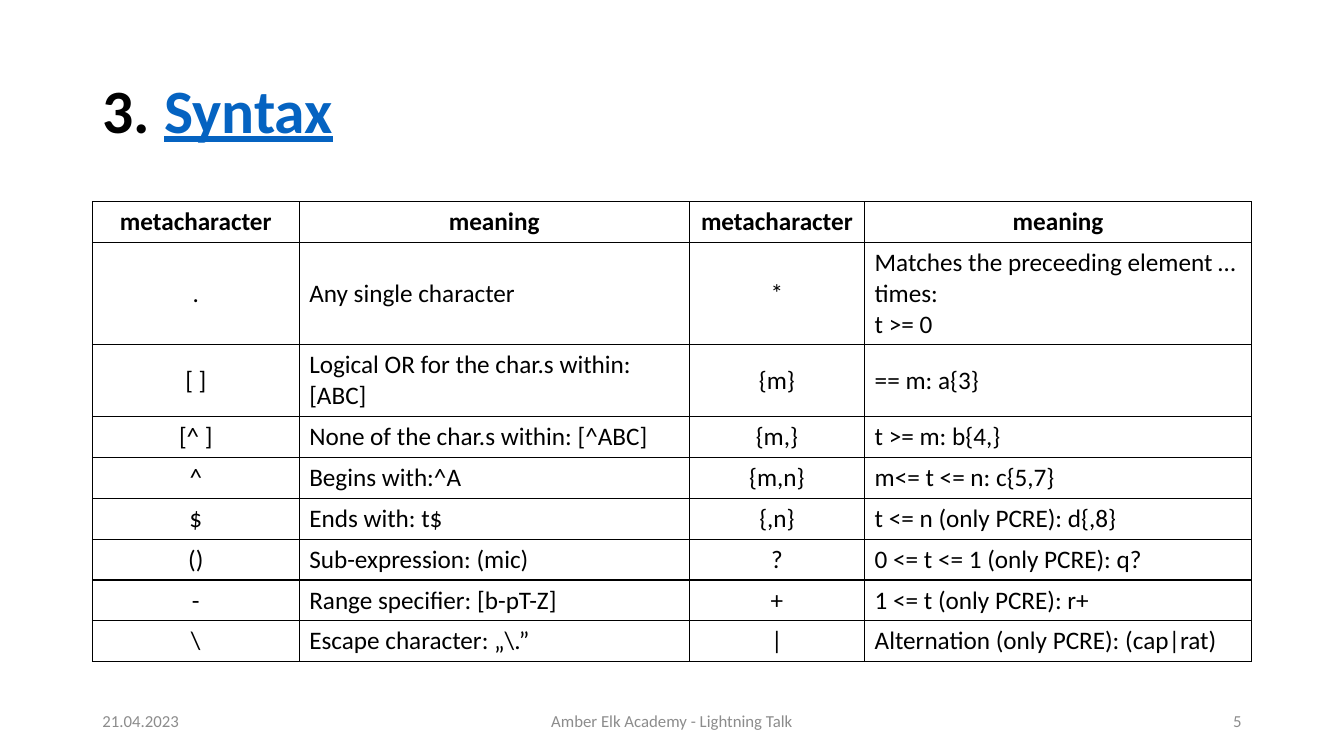
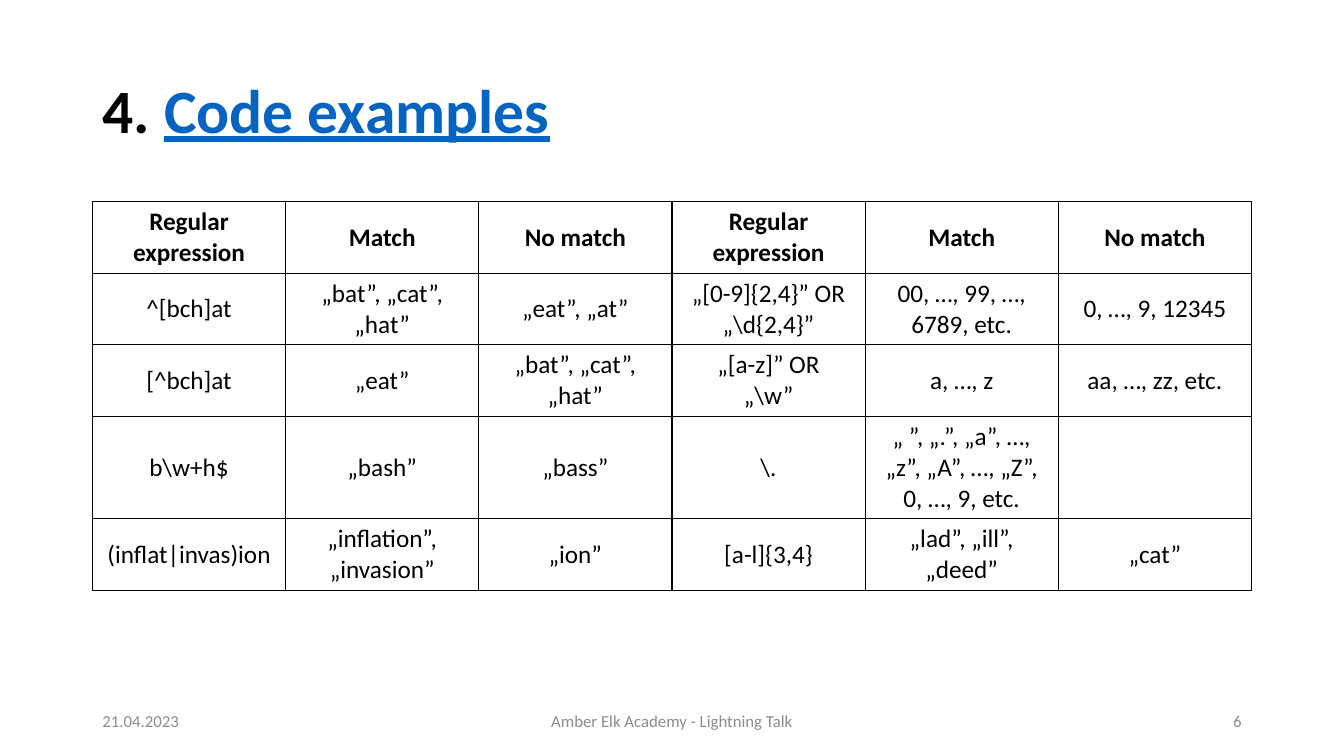
"""Build two slides on regular expressions: syntax and code examples."""
from dataclasses import dataclass

from lxml import etree
from pptx import Presentation
from pptx.dml.color import RGBColor
from pptx.enum.text import MSO_ANCHOR, PP_ALIGN
from pptx.oxml.ns import qn
from pptx.util import Cm, Pt

LEFT, CENTER, RIGHT = PP_ALIGN.LEFT, PP_ALIGN.CENTER, PP_ALIGN.RIGHT
MIDDLE = MSO_ANCHOR.MIDDLE


@dataclass(frozen=True)
class Theme:
    """Hold the colours and type sizes the slides share."""
    font: str = "Calibri"
    ink: str = "000000"
    link: str = "0563C1"
    muted: str = "8C8C8C"
    title_size: int = 44
    table_size: int = 18
    footer_size: int = 12
    border_width: int = 1


THEME = Theme()
PAGE_WIDTH, PAGE_HEIGHT = 33.87, 19.05
MARGIN, CONTENT_WIDTH = 2.33, 29.21
TITLE_TOP, TITLE_HEIGHT = 1.01, 3.68
TABLE_TOP, ROW_HEIGHT = 5.08, 1.03
FOOTER_TOP, FOOTER_HEIGHT = 17.66, 1.01
DATE_WIDTH, FOOTER_WIDTH = 7.62, 11.43

DATE = "21.04.2023"
FOOTER = "Amber Elk Academy - Lightning Talk"

SLIDES = [
    {
        "number": 5,
        "title": ("3. ", "Syntax"),
        "widths": [5.21, 9.83, 4.42, 9.75],
        "aligns": [CENTER, LEFT, CENTER, LEFT],
        "rows": [
            ("metacharacter", "meaning", "metacharacter", "meaning"),
            (".", "Any single character", "*",
             "Matches the preceeding element … times:\nt >= 0"),
            ("[ ]", "Logical OR for the char.s within: [ABC]", "{m}", "== m: a{3}"),
            ("[^ ]", "None of the char.s within: [^ABC]", "{m,}", "t >= m: b{4,}"),
            ("^", "Begins with:^A", "{m,n}", "m<= t <= n: c{5,7}"),
            ("$", "Ends with: t$", "{,n}", "t <= n (only PCRE): d{,8}"),
            ("()", "Sub-expression: (mic)", "?", "0 <= t <= 1 (only PCRE): q?"),
            ("-", "Range specifier: [b-pT-Z]", "+", "1 <= t (only PCRE): r+"),
            ("\\", "Escape character: „\\.”", "|", "Alternation (only PCRE): (cap|rat)"),
        ],
    },
    {
        "number": 6,
        "title": ("4. ", "Code examples"),
        "widths": [CONTENT_WIDTH / 6] * 6,
        "aligns": [CENTER] * 6,
        "rows": [
            ("Regular expression", "Match", "No match") * 2,
            ("^[bch]at", "„bat”, „cat”, „hat”", "„eat”, „at”",
             "„[0-9]{2,4}” OR\n„\\d{2,4}”", "00, …, 99, …, 6789, etc.", "0, …, 9, 12345"),
            ("[^bch]at", "„eat”", "„bat”, „cat”, „hat”",
             "„[a-z]” OR\n„\\w”", "a, …, z", "aa, …, zz, etc."),
            ("b\\w+h$", "„bash”", "„bass”",
             "\\.", "„ ”, „.”, „a”, …, „z”, „A”, …, „Z”, 0, …, 9, etc.", ""),
            ("(inflat|invas)ion", "„inflation”, „invasion”", "„ion”",
             "[a-l]{3,4}", "„lad”, „ill”, „deed”", "„cat”"),
        ],
    },
]


def style_span(span, size, color, bold=False):
    """Give one run its font, size, colour and weight."""
    span.font.name = THEME.font
    span.font.size = Pt(size)
    span.font.bold = bold
    span.font.color.rgb = RGBColor.from_string(color)


def style_frame(frame, align, size, color, bold=False):
    """Align and style every paragraph of a text frame."""
    for para in frame.paragraphs:
        para.alignment = align
        for span in para.runs:
            style_span(span, size, color, bold)


def place_title(page, prefix, linked):
    """Position the title placeholder and fill in its two parts."""
    title = page.shapes.title
    title.left, title.top = Cm(MARGIN), Cm(TITLE_TOP)
    title.width, title.height = Cm(CONTENT_WIDTH), Cm(TITLE_HEIGHT)
    title.text_frame.vertical_anchor = MIDDLE
    para = title.text_frame.paragraphs[0]
    para.alignment = LEFT
    para.line_spacing = 0.9
    for text, color in ((prefix, THEME.ink), (linked, THEME.link)):
        span = para.add_run()
        span.text = text
        style_span(span, THEME.title_size, color, bold=True)
    span.font.underline = True


def draw_borders(cell):
    """Draw a solid line on all four sides of a cell."""
    properties = cell._tc.get_or_add_tcPr()
    for side in ("a:lnL", "a:lnR", "a:lnT", "a:lnB"):
        line = etree.SubElement(properties, qn(side), w=str(Pt(THEME.border_width)))
        fill = etree.SubElement(line, qn("a:solidFill"))
        etree.SubElement(fill, qn("a:srgbClr"), val=THEME.ink)


def add_grid(page, rows, widths, aligns):
    """Add a bordered table with a bold, centred header row."""
    table = page.shapes.add_table(
        len(rows), len(widths), Cm(MARGIN), Cm(TABLE_TOP),
        Cm(CONTENT_WIDTH), Cm(ROW_HEIGHT * len(rows))).table
    table.first_row = table.horz_banding = False
    for column, width in zip(table.columns, widths):
        column.width = Cm(width)
    for row_index, row in enumerate(rows):
        header = row_index == 0
        table.rows[row_index].height = Cm(ROW_HEIGHT)
        for column_index, text in enumerate(row):
            cell = table.cell(row_index, column_index)
            cell.text_frame.text = text
            cell.vertical_anchor = MIDDLE
            draw_borders(cell)
            cell.fill.background()
            align = CENTER if header else aligns[column_index]
            style_frame(cell.text_frame, align, THEME.table_size, THEME.ink, header)


def add_footer(page, number):
    """Add the date, the centred footer and the slide number."""
    right_edge = MARGIN + CONTENT_WIDTH
    parts = [
        (DATE, MARGIN, DATE_WIDTH, LEFT),
        (FOOTER, (PAGE_WIDTH - FOOTER_WIDTH) / 2, FOOTER_WIDTH, CENTER),
        (str(number), right_edge - DATE_WIDTH, DATE_WIDTH, RIGHT),
    ]
    for text, left, width, align in parts:
        box = page.shapes.add_textbox(Cm(left), Cm(FOOTER_TOP), Cm(width), Cm(FOOTER_HEIGHT))
        frame = box.text_frame
        frame.word_wrap = True
        frame.vertical_anchor = MIDDLE
        frame.text = text
        style_frame(frame, align, THEME.footer_size, THEME.muted)


def main():
    """Build and save the presentation."""
    deck = Presentation()
    deck.slide_width, deck.slide_height = Cm(PAGE_WIDTH), Cm(PAGE_HEIGHT)
    title_only = deck.slide_layouts[5]
    for content in SLIDES:
        page = deck.slides.add_slide(title_only)
        place_title(page, *content["title"])
        add_grid(page, content["rows"], content["widths"], content["aligns"])
        add_footer(page, content["number"])
    deck.save("out.pptx")


if __name__ == "__main__":
    main()
